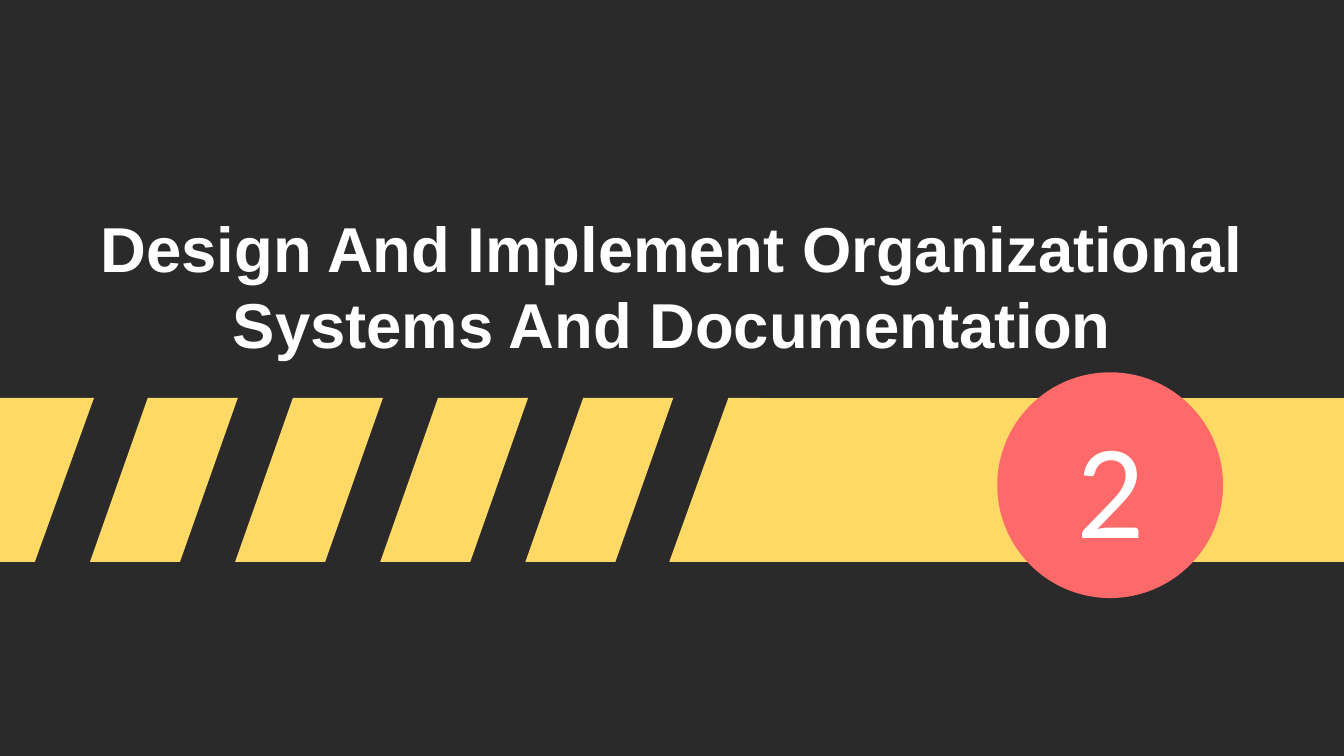
import pptx
import pptx.dml.color
import pptx.enum.shapes
import pptx.enum.text
import pptx.util

Inches = pptx.util.Inches
Pt = pptx.util.Pt
MID = pptx.enum.text.MSO_ANCHOR.MIDDLE
LOW = pptx.enum.text.MSO_ANCHOR.BOTTOM

TITLE = "Design And Implement Organizational Systems And Documentation"
NUMBER = "2"
DARK, GOLD, CORAL, WHITE = "2A2A2A", "FFD966", "FE6A6A", "FFFFFF"
TOP, BASE = 2.96, 4.18
START, STEP, WIDE, SLANT = 0.67, 1.08, 0.67, 0.43
FIRST = (0, 0.7, 0.26, 0)
LAST = (5.42, 5.66, 5.66, 4.98)
BAND = (5.51, 10, 10, 5.51)
DISC = (7.42, 2.77, 1.68, 1.68)
HEAD = {"size": Pt(34), "name": "Arial", "bold": True}
DIGIT = {"size": Pt(72), "name": "Calibri", "bold": False}


def paint(fill, color):
    fill.solid()
    fill.fore_color.rgb = pptx.dml.color.RGBColor.from_string(color)


def finish(shape, color):
    paint(shape.fill, color)
    shape.line.fill.background()
    shape.shadow.inherit = False


def stripe(group, edges):
    left, right, foot, heel = edges
    points = [(left, TOP), (right, TOP), (foot, BASE), (heel, BASE)]
    points = [(Inches(x), Inches(y)) for x, y in points]
    pen = group.shapes.build_freeform(*points[0])
    pen.add_line_segments(points[1:], close=True)
    finish(pen.convert_to_shape(), GOLD)


def write(holder, text, box, anchor, style):
    holder.left, holder.top, holder.width, holder.height = map(Inches, box)
    frame = holder.text_frame
    frame.text = text
    form = {"word_wrap": True, "vertical_anchor": anchor,
            "auto_size": pptx.enum.text.MSO_AUTO_SIZE.NONE}
    for side in ("left", "right", "top", "bottom"):
        form["margin_" + side] = Inches(0.1)
    for key, value in form.items():
        setattr(frame, key, value)
    line = frame.paragraphs[0]
    line.alignment = pptx.enum.text.PP_ALIGN.CENTER
    line.space_before = Pt(0)
    line.line_spacing = 1.0
    font = line.runs[0].font
    for key, value in style.items():
        setattr(font, key, value)
    paint(font.fill, WHITE)


def main():
    deck = pptx.Presentation()
    deck.slide_width = Inches(10)
    deck.slide_height = deck.slide_width * 9 // 16
    slide = deck.slides.add_slide(deck.slide_layouts[0])
    paint(slide.background.fill, DARK)
    title, number = slide.placeholders

    group = slide.shapes.add_group_shape()
    lefts = [START + STEP * i for i in range(4)]
    bars = [(x + SLANT, x + SLANT + WIDE, x + WIDE, x) for x in lefts]
    for edges in [FIRST, *bars, LAST, BAND]:
        stripe(group, edges)

    oval = pptx.enum.shapes.MSO_SHAPE.OVAL
    disc = slide.shapes.add_shape(oval, *map(Inches, DISC))
    finish(disc, CORAL)

    write(title, TITLE, (0.12, 1.63, 9.76, 1.16), LOW, HEAD)
    write(number, NUMBER, (7.63, 3.24, 1.27, 0.74), MID, DIGIT)
    tree = group.element.getparent()
    for shape in (title, disc, number):
        tree.append(shape.element)
    deck.save("out.pptx")


if __name__ == "__main__":
    main()
